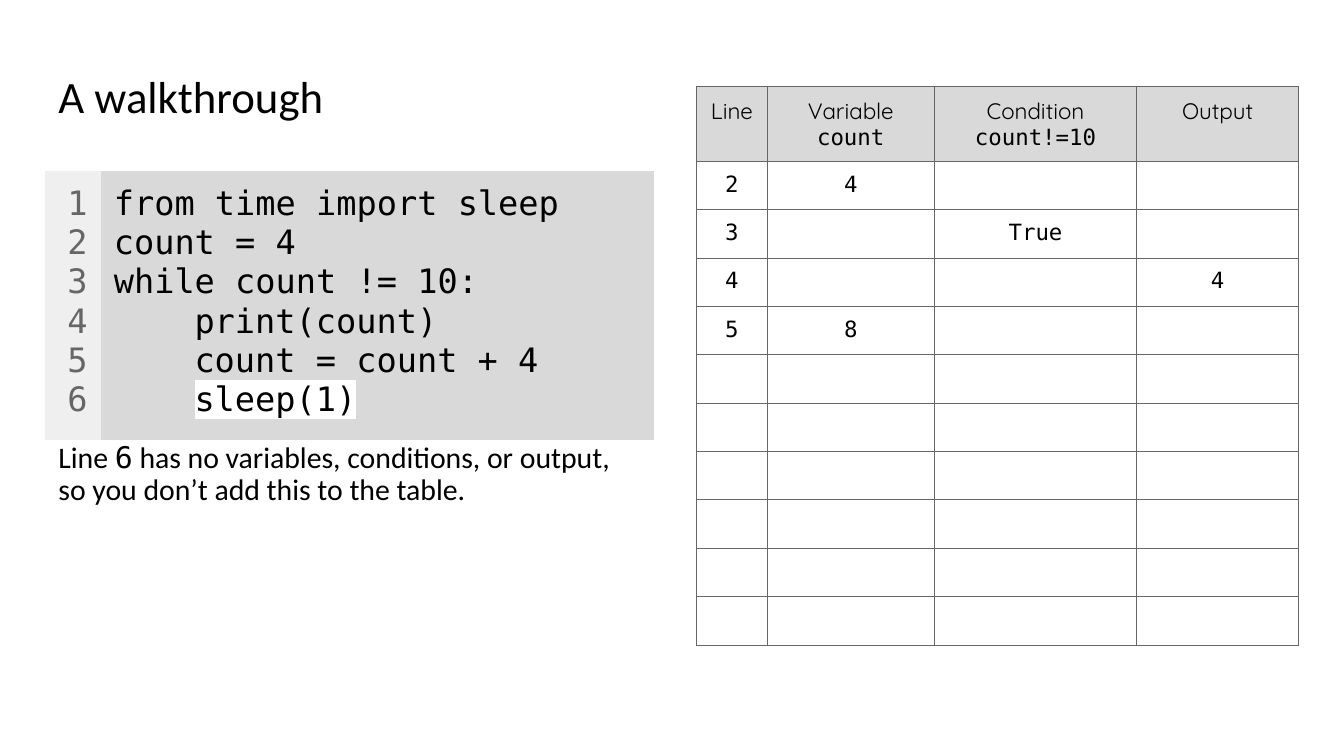
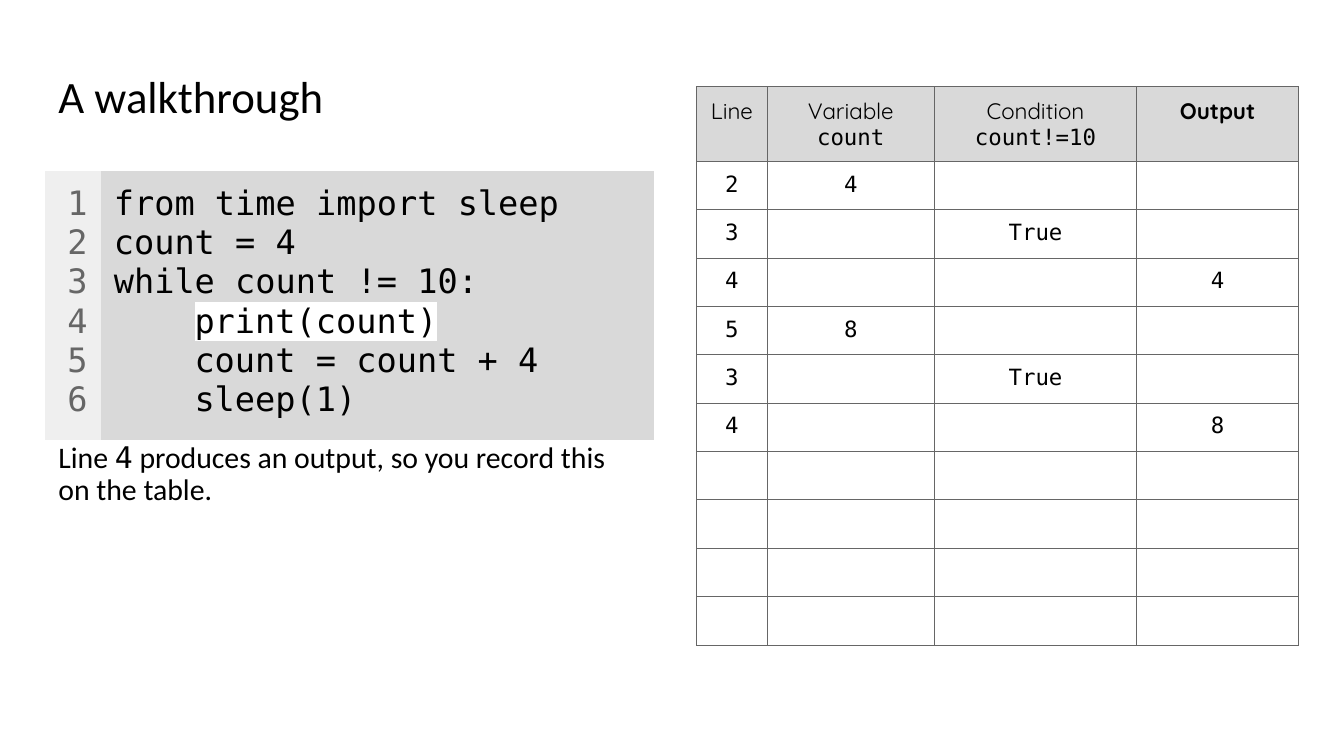
from dataclasses import dataclass

from lxml import etree
from pptx import Presentation
from pptx import util as u
from pptx.dml.color import RGBColor
from pptx.enum import text
from pptx.oxml.ns import qn

COLORS = {
    "ink": "000000",
    "number": "666666",
    "rule": "666666",
    "gutter": "EFEFEF",
    "shade": "D9D9D9",
    "marker": "FFFFFF",
}
SANS, MONO, HEADING = "Calibri", "DejaVu Sans Mono", "Quicksand"

SLIDE_W, SLIDE_H = u.Inches(13.33), u.Inches(7.5)
MARGIN, PANEL, GUTTER = u.Inches(0.45), u.Inches(5.97), u.Inches(0.49)
WIDE_INSET, CELL_INSET = u.Inches(0.13), u.Inches(0.1)
CODE_INDENT = u.Inches(0.8)

# Percentages of the panel width
CODE_COLUMNS = (9.2, 92)
TRACE_COLUMNS = (11.7, 27.8, 33.6, 26.9)
# Percentages of the slide height
CODE_ROW, HEAD_ROW, STEP_ROW = 35.47, 9.87, 6.4
STEP_ROWS = 10

LINE, VARIABLE, CONDITION, OUTPUT = range(4)
HEADINGS = (("Line", ""), ("Variable", "count"),
            ("Condition", "count!=10"), ("Output", ""))


@dataclass(frozen=True)
class Span:
    words: str
    size: float
    font: str = MONO
    color: str = "ink"
    bold: bool = False
    marked: bool = False


@dataclass(frozen=True)
class CodeLine:
    words: str
    depth: int = 0


@dataclass(frozen=True)
class Step:
    line: int
    column: int
    value: str


@dataclass(frozen=True)
class Walkthrough:
    current_line: int
    remark: str
    steps: tuple[Step, ...]
    bold_column: int | None = None


CODE = (
    CodeLine("from time import sleep"),
    CodeLine("count = 4"),
    CodeLine("while count != 10:"),
    CodeLine("print(count)", 1),
    CodeLine("count = count + 4", 1),
    CodeLine("sleep(1)", 1),
)
FIRST_LOOP = (Step(2, VARIABLE, "4"), Step(3, CONDITION, "True"),
              Step(4, OUTPUT, "4"), Step(5, VARIABLE, "8"))
SECOND_LOOP = (Step(3, CONDITION, "True"), Step(4, OUTPUT, "8"))
WALKTHROUGHS = (
    Walkthrough(6, " has no variables, conditions, or output, "
                   "so you don’t add this to the table.", FIRST_LOOP),
    Walkthrough(4, " produces an output, so you record this on the table.",
                FIRST_LOOP + SECOND_LOOP, OUTPUT),
)


def panel_left(column: int) -> int:
    return MARGIN + column * (PANEL + GUTTER)


def down(percent: float) -> int:
    return round(SLIDE_H * percent / 100)


def add_span(para, span: Span) -> None:
    run = para.add_run()
    run.text = span.words
    font = run.font
    font.size, font.bold = u.Pt(span.size), span.bold
    font.color.rgb = RGBColor.from_string(COLORS[span.color])
    if span.marked:
        highlight = etree.SubElement(run._r.get_or_add_rPr(), qn("a:highlight"))
        etree.SubElement(highlight, qn("a:srgbClr"), val=COLORS["marker"])
    font.name = span.font


def set_insets(holder, inset: int) -> None:
    holder.margin_left = holder.margin_right = inset
    holder.margin_top = holder.margin_bottom = inset


def add_text(page, top: float, width: int, height: float,
             spans: list[Span]):
    box = page.shapes.add_textbox(panel_left(0), down(top), width, down(height))
    frame = box.text_frame
    frame.word_wrap = True
    set_insets(frame, WIDE_INSET)
    para = frame.paragraphs[0]
    para.line_spacing = 0.9
    for span in spans:
        add_span(para, span)
    return frame


def add_plain_table(page, column: int, top: float,
                    widths: tuple[float, ...], heights: list[float]):
    """Add a table without banding, sized by percentages."""
    table = page.shapes.add_table(
        len(heights), len(widths), panel_left(column), down(top),
        round(PANEL * sum(widths) / 100), down(sum(heights))).table
    table.first_row = table.horz_banding = False
    for table_column, width in zip(table.columns, widths):
        table_column.width = round(PANEL * width / 100)
    for row, height in zip(table.rows, heights):
        row.height = down(height)
    return table


def style_cell(cell, fill: str | None, border: str | None) -> None:
    """Draw the four borders, then the fill, as the cell schema orders them."""
    properties = cell._tc.get_or_add_tcPr()
    for side in ("lnL", "lnR", "lnT", "lnB"):
        line = etree.SubElement(properties, qn(f"a:{side}"), w=str(u.Pt(0.75)))
        if border:
            paint = etree.SubElement(line, qn("a:solidFill"))
            etree.SubElement(paint, qn("a:srgbClr"), val=COLORS[border])
        else:
            etree.SubElement(line, qn("a:noFill"))
    if fill:
        cell.fill.solid()
        cell.fill.fore_color.rgb = RGBColor.from_string(COLORS[fill])
    else:
        cell.fill.background()


def write_cell(cell, inset: int, align, spans: list[Span]) -> list:
    """Write one paragraph for each span and return the paragraphs."""
    set_insets(cell, inset)
    frame = cell.text_frame
    paras = [frame.paragraphs[0]] + [frame.add_paragraph() for _ in spans[1:]]
    for para, span in zip(paras, spans):
        para.alignment = align
        add_span(para, span)
    return paras


def add_code(page, current_line: int) -> None:
    table = add_plain_table(page, 0, 22.67, CODE_COLUMNS, [CODE_ROW])
    numbers, listing = table.cell(0, 0), table.cell(0, 1)
    style_cell(numbers, "gutter", None)
    style_cell(listing, "shade", None)
    write_cell(numbers, WIDE_INSET, text.PP_ALIGN.RIGHT,
               [Span(str(n), 24, color="number")
                for n in range(1, len(CODE) + 1)])
    paras = write_cell(listing, WIDE_INSET, text.PP_ALIGN.LEFT,
                       [Span(line.words, 24, marked=n == current_line)
                        for n, line in enumerate(CODE, 1)])
    for para, line in zip(paras, CODE):
        para._p.get_or_add_pPr().set("marL", str(line.depth * CODE_INDENT))


def add_trace(page, steps: tuple[Step, ...], bold_column: int | None) -> None:
    table = add_plain_table(page, 1, 11.47, TRACE_COLUMNS,
                            [HEAD_ROW] + [STEP_ROW] * STEP_ROWS)
    for row in range(STEP_ROWS + 1):
        for column in range(len(TRACE_COLUMNS)):
            style_cell(table.cell(row, column),
                       None if row else "shade", "rule")
    for column, (label, code) in enumerate(HEADINGS):
        spans = [Span(label, 16, HEADING, bold=column == bold_column)]
        if code:
            spans.append(Span(code, 16))
        write_cell(table.cell(0, column), CELL_INSET,
                   text.PP_ALIGN.CENTER, spans)
    for row, step in enumerate(steps, 1):
        for column, value in ((LINE, str(step.line)),
                              (step.column, step.value)):
            write_cell(table.cell(row, column), CELL_INSET,
                       text.PP_ALIGN.CENTER, [Span(value, 16)])


def add_walkthrough(deck, walkthrough: Walkthrough) -> None:
    page = deck.slides.add_slide(deck.slide_layouts[6])
    title = add_text(page, 6.27, 2 * PANEL + GUTTER, 13.6,
                     [Span("A walkthrough", 32, SANS)])
    title.vertical_anchor = text.MSO_ANCHOR.MIDDLE
    add_code(page, walkthrough.current_line)
    add_text(page, 56.8, PANEL, 28.13, [
        Span("Line ", 21.3, SANS),
        Span(str(walkthrough.current_line), 21.3),
        Span(walkthrough.remark, 21.3, SANS),
    ])
    add_trace(page, walkthrough.steps, walkthrough.bold_column)


def main() -> None:
    deck = Presentation()
    deck.slide_width, deck.slide_height = SLIDE_W, SLIDE_H
    for walkthrough in WALKTHROUGHS:
        add_walkthrough(deck, walkthrough)
    deck.save("out.pptx")


if __name__ == "__main__":
    main()
